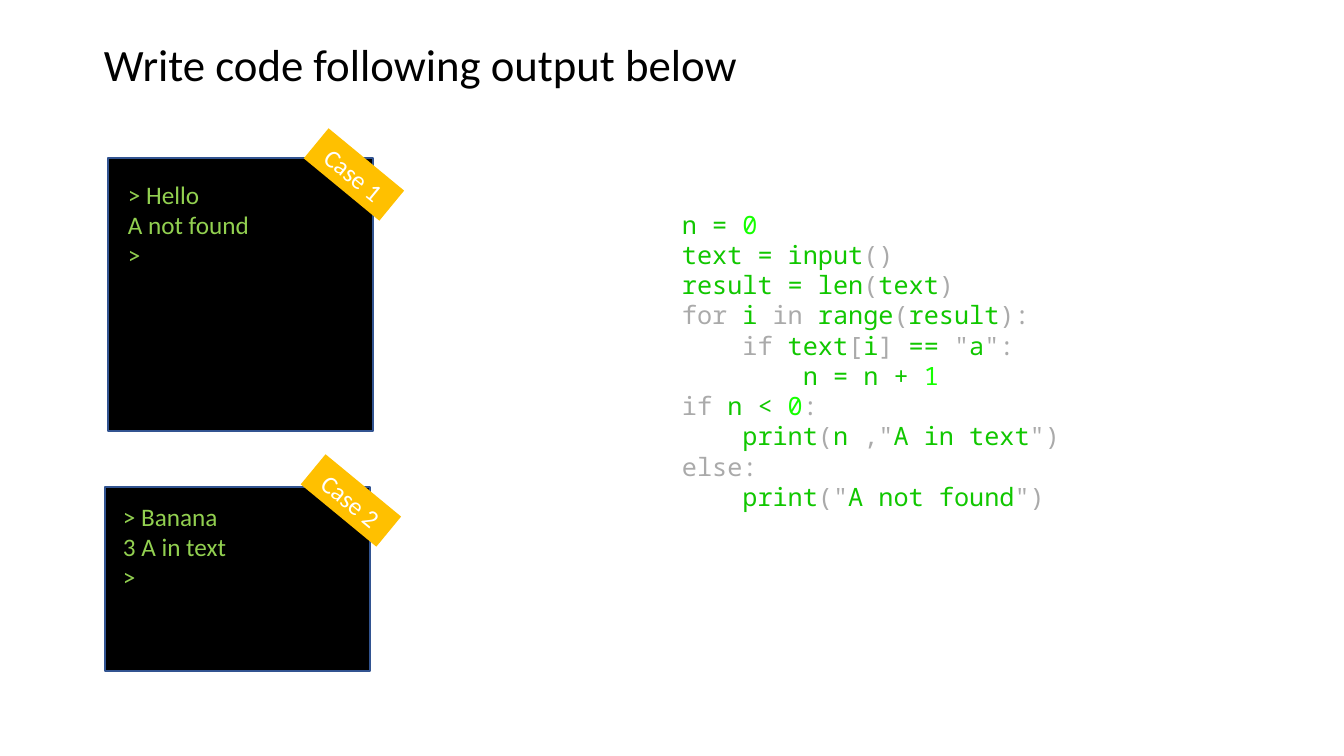
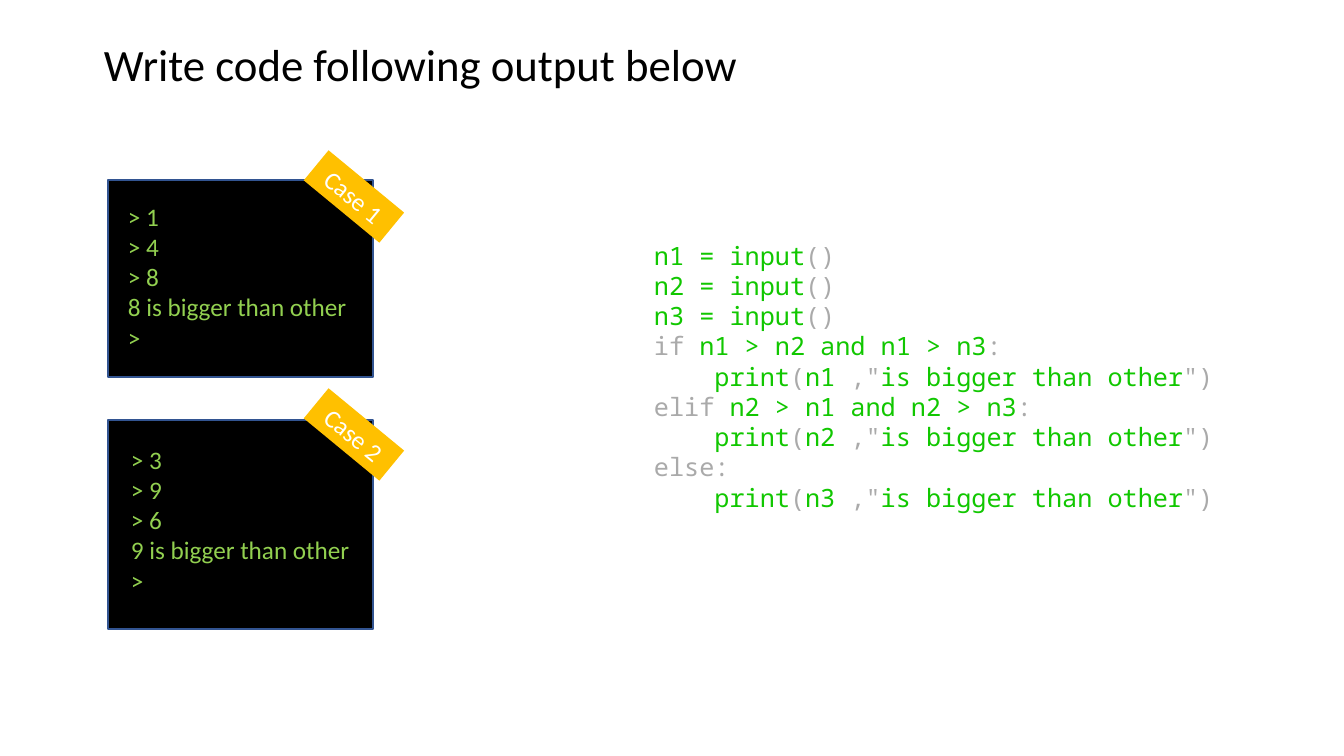
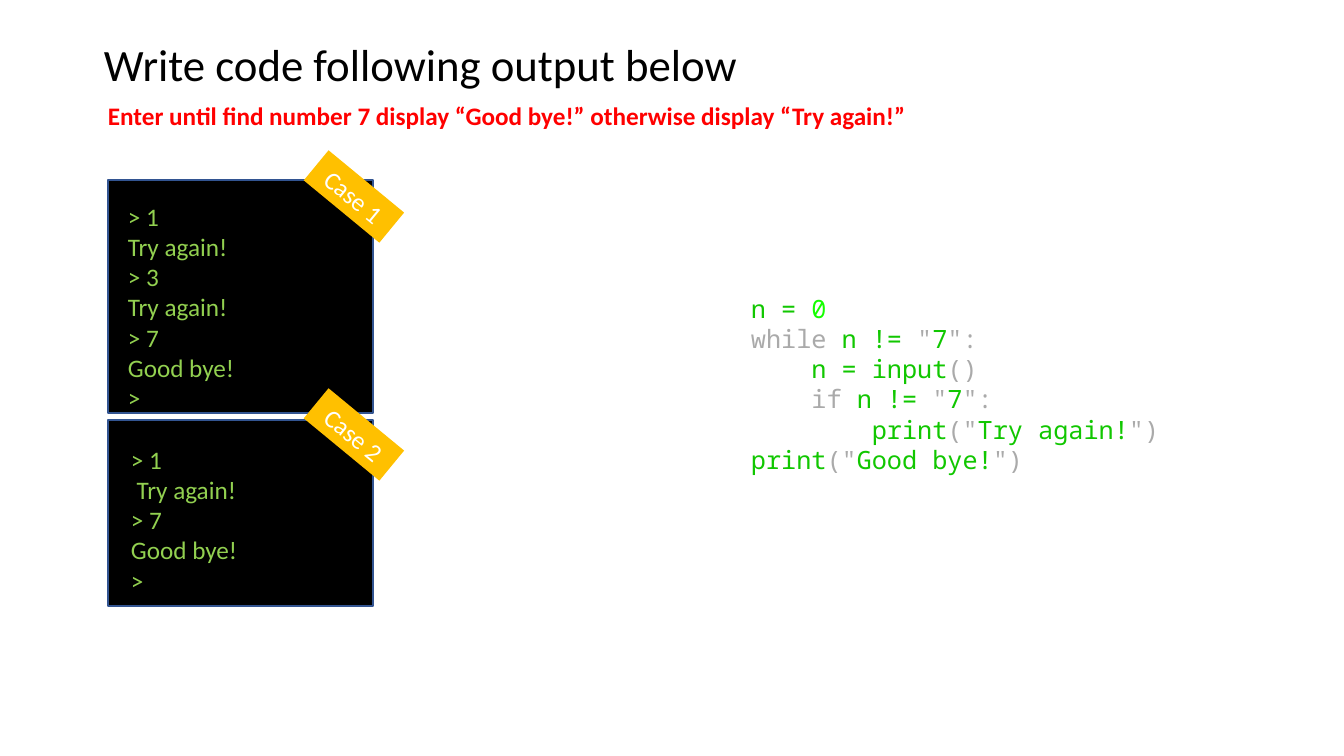
import collections
import itertools

import pptx
import pptx.dml.color
import pptx.enum.shapes
import pptx.enum.text
import pptx.util

EMU_PER_PIXEL = 914400 / 100.8
TITLE = "Write code following output below"
SANS, MONO = "Calibri", "Noto Sans Mono"
BLACK, WHITE, RED = "000000", "FFFFFF", "FF0000"
SCREEN_EDGE, SCREEN_TEXT, TAG_FILL = "325491", "92D050", "FFC000"
CODE_NAME, CODE_NUMBER, CODE_MUTED = "11C700", "15FF00", "AAAAAA"
KEYWORDS = {"for", "in", "if", "elif", "else", "while"}
PUNCTUATION = set("()[]:,")
INDENT = pptx.util.Pt(43.2)
CODE_LEADING = pptx.util.Pt(21.6)

Box = collections.namedtuple("Box", "left top width height")
# inset holds the text box, relative to the corner of the screen
Case = collections.namedtuple("Case", "screen inset tag_lift lines")


def px(length):
    """Turn picture pixels into EMU."""
    return round(length * EMU_PER_PIXEL)


def color(code):
    """Turn a hex string into a colour."""
    return pptx.dml.color.RGBColor.from_string(code)


def add_span(para, text, code, **formats):
    """Append one run with its colour and font formats."""
    span = para.add_run()
    span.text = text
    span.font.color.rgb = color(code)
    defaults = {"name": SANS, "size": pptx.util.Pt(18)}
    for name, value in {**defaults, **formats}.items():
        setattr(span.font, name, value)


def add_paragraphs(frame, count):
    """Return the given number of paragraphs of a text frame."""
    return [frame.paragraphs[0]] + [frame.add_paragraph() for _ in range(count - 1)]


def add_text_frame(page, box):
    """Add a wrapping text box and return its frame."""
    frame = page.shapes.add_textbox(*map(px, box)).text_frame
    frame.word_wrap = True
    return frame


def add_text(page, box, lines, code, **formats):
    """Add a text box with one paragraph per line."""
    frame = add_text_frame(page, box)
    for para, line in zip(add_paragraphs(frame, len(lines)), lines):
        add_span(para, line, code, **formats)


def add_rectangle(page, box, fill, edge=None):
    """Add a flat rectangle, outlined when an edge colour is given."""
    shape = page.shapes.add_shape(
        pptx.enum.shapes.MSO_SHAPE.RECTANGLE, *map(px, box))
    shape.shadow.inherit = False
    shape.fill.solid()
    shape.fill.fore_color.rgb = color(fill)
    if edge:
        shape.line.color.rgb = color(edge)
        shape.line.width = pptx.util.Pt(1)
    else:
        shape.line.fill.background()
    return shape


def add_tag(page, box, label):
    """Add the tilted label on the corner of a screen."""
    tag = add_rectangle(page, box, TAG_FILL)
    tag.rotation = 39.5
    frame = tag.text_frame
    frame.vertical_anchor = pptx.enum.text.MSO_ANCHOR.MIDDLE
    para = frame.paragraphs[0]
    para.alignment = pptx.enum.text.PP_ALIGN.CENTER
    add_span(para, label, WHITE)


def add_case(page, case, number):
    """Add a console screen with its output and its tag."""
    screen, inset = case.screen, case.inset
    add_rectangle(page, screen, BLACK, SCREEN_EDGE)
    output = inset._replace(left=screen.left + inset.left, top=screen.top + inset.top)
    add_text(page, output, case.lines, SCREEN_TEXT)
    tag = Box(screen.left + 197, screen.top - case.tag_lift, 98, 39)
    add_tag(page, tag, f"Case {number}")


def token_color(token):
    """Pick the colour of a token outside quotes."""
    if token in KEYWORDS or token in PUNCTUATION:
        return CODE_MUTED
    return CODE_NUMBER if token.isdigit() else CODE_NAME


def color_line(line):
    """Yield (colour, text) for each token of a code line."""
    for index, part in enumerate(line.split('"')):
        if index:
            yield CODE_MUTED, '"'
        if index % 2:
            yield CODE_NAME, part
            continue
        for is_word, letters in itertools.groupby(part, str.isalnum):
            for token in ["".join(letters)] if is_word else letters:
                yield token_color(token), token


def add_code(page, box, source):
    """Add coloured code, with one indent for every four leading spaces."""
    lines = source.strip().splitlines()
    frame = add_text_frame(page, box)
    for para, line in zip(add_paragraphs(frame, len(lines)), lines):
        code = line.lstrip()
        depth = (len(line) - len(code)) // 4
        para.line_spacing = CODE_LEADING
        para._p.get_or_add_pPr().set("marL", str(depth * INDENT))
        for shade, tokens in itertools.groupby(color_line(code), lambda pair: pair[0]):
            add_span(para, "".join(text for _, text in tokens), shade, name=MONO)


def add_exercise(deck, cases, code_box, source, hint=None):
    """Add a slide with a title, two cases, the code and an optional hint."""
    page = deck.slides.add_slide(deck.slide_layouts[6])
    add_text(page, Box(94, 32, 660, 65), [TITLE], BLACK, size=pptx.util.Pt(32))
    for number, case in enumerate(cases, 1):
        add_case(page, case, number)
    if hint:
        add_text(page, Box(98, 95, 822, 40), [hint], RED, bold=True)
    add_code(page, code_box, source)


COUNT_CODE = """
n = 0
text = input()
result = len(text)
for i in range(result):
    if text[i] == "a":
        n = n + 1
if n < 0:
    print(n ,"A in text")
else:
    print("A not found")
"""
BIGGEST_CODE = """
n1 = input()
n2 = input()
n3 = input()
if n1 > n2 and n1 > n3:
    print(n1 ,"is bigger than other")
elif n2 > n1 and n2 > n3:
    print(n2 ,"is bigger than other")
else:
    print(n3 ,"is bigger than other")
"""
GUESS_CODE = """
n = 0
while n != "7":
    n = input()
    if n != "7":
        print("Try again!")
print("Good bye!")
"""

deck = pptx.Presentation()
deck.slide_width, deck.slide_height = px(1344), px(756)

add_exercise(deck, [
    Case(Box(108, 158, 265, 273), Box(10, 16, 143, 102), 3,
         ["> Hello", "A not found", ">"]),
    Case(Box(105, 487, 265, 184), Box(8, 9, 125, 102), 6,
         ["> Banana", "3 A in text", ">"]),
], Box(672, 204, 672, 315), COUNT_CODE)

add_exercise(deck, [
    Case(Box(108, 180, 265, 197), Box(10, 16, 273, 163), 3,
         ["> 1", "> 4", "> 8", "8 is bigger than other", ">"]),
    Case(Box(108, 420, 265, 209), Box(13, 19, 242, 163), 5,
         ["> 3", "> 9", "> 6", "9 is bigger than other", ">"]),
], Box(644, 235, 672, 285), BIGGEST_CODE)

add_exercise(deck, [
    Case(Box(108, 180, 265, 233), Box(10, 16, 273, 224), 3,
         ["> 1", "Try again!", "> 3", "Try again!", "> 7", "Good bye!", ">"]),
    Case(Box(108, 420, 265, 186), Box(13, 19, 128, 163), 5,
         ["> 1", " Try again!", "> 7", "Good bye!", ">"]),
], Box(741, 288, 603, 194), GUESS_CODE,
    "Enter until find number 7 display “Good bye!” otherwise display “Try again!”")

deck.save("out.pptx")
